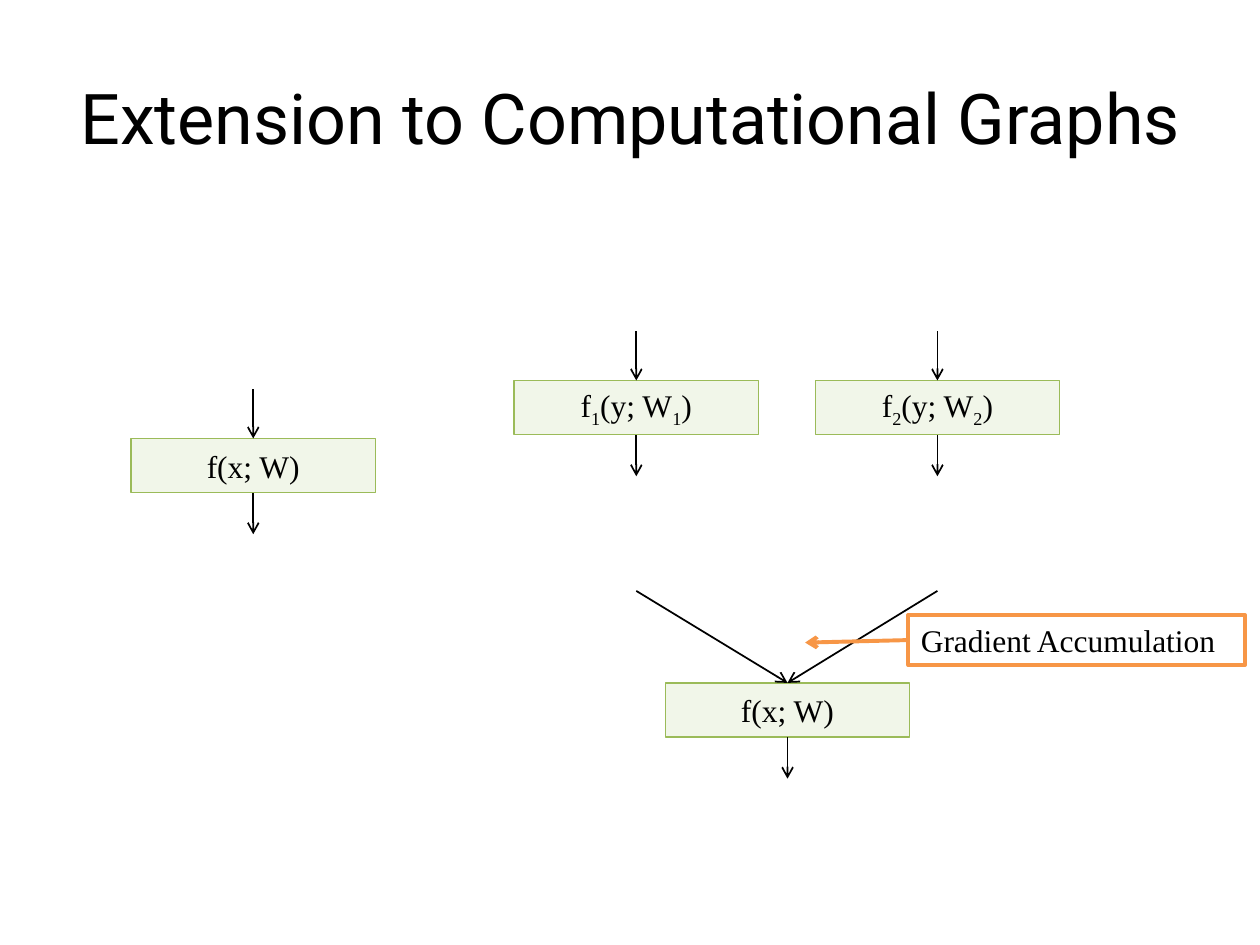
from dataclasses import dataclass

from lxml import etree
from pptx import Presentation
from pptx import util as u
from pptx.dml.color import RGBColor
from pptx.enum import shapes, text
from pptx.oxml.ns import qn

PX = u.Inches(1) // 100  # one px is a hundredth of an inch
TOP, LEFT, BOTTOM = 0, 1, 2  # connection sites of a rectangle
NODE_W, NODE_H = 194, 43
ARROW_IN, ARROW_OUT = 39, 33


@dataclass(frozen=True)
class Theme:
    ink: RGBColor = RGBColor.from_string("000000")
    node_fill: RGBColor = RGBColor.from_string("D7E4BD")
    node_line: RGBColor = RGBColor.from_string("9BBB59")
    accent: RGBColor = RGBColor.from_string("F79646")
    title_font: str = "Roboto"
    body_font: str = "Times New Roman"
    title_size: int = 40
    body_size: int = 18
    node_width: float = 0.75
    arrow_width: float = 1
    accent_width: float = 2.25


THEME = Theme()


def px(*lengths):
    return [u.Emu(length * PX) for length in lengths]


def add_run(paragraph, words, font, size, subscript=False):
    run = paragraph.add_run()
    run.text = words
    run.font.name = font
    run.font.size = u.Pt(size)
    run.font.color.rgb = THEME.ink
    if subscript:
        run.font._element.set("baseline", "-25000")


def add_arrow(slide, tip, tail, color=THEME.ink, width=THEME.arrow_width):
    """Straight arrow whose head is at its beginning."""
    arrow = slide.shapes.add_connector(shapes.MSO_CONNECTOR.STRAIGHT, *px(*tip, *tail))
    arrow.line.color.rgb = color
    arrow.line.width = u.Pt(width)
    etree.SubElement(arrow.line._get_or_add_ln(), qn("a:headEnd"), type="arrow")
    etree.SubElement(arrow._element.spPr, qn("a:effectLst"))
    return arrow


def add_title(slide, box, words):
    title = slide.shapes.title
    title.left, title.top, title.width, title.height = px(*box)
    title.text_frame.vertical_anchor = text.MSO_ANCHOR.MIDDLE
    paragraph = title.text_frame.paragraphs[0]
    paragraph.alignment = text.PP_ALIGN.CENTER
    add_run(paragraph, words, THEME.title_font, THEME.title_size)


def add_node(slide, left, top, label, sources=None):
    """Function box with its incoming and outgoing arrows; label is (words, subscript) pairs."""
    node = slide.shapes.add_shape(
        shapes.MSO_SHAPE.RECTANGLE, *px(left, top, NODE_W, NODE_H))
    node.shadow.inherit = False
    node.fill.solid()
    node.fill.fore_color.rgb = THEME.node_fill
    color = node._element.spPr.find(qn("a:solidFill"))[0]
    etree.SubElement(color, qn("a:alpha"), val="33000")
    node.line.color.rgb = THEME.node_line
    node.line.width = u.Pt(THEME.node_width)
    node.text_frame.vertical_anchor = text.MSO_ANCHOR.MIDDLE
    paragraph = node.text_frame.paragraphs[0]
    paragraph.alignment = text.PP_ALIGN.CENTER
    for words, subscript in label:
        add_run(paragraph, words, THEME.body_font, THEME.body_size, subscript)

    # Outgoing arrow, then one incoming arrow for each source
    center, bottom = left + NODE_W // 2, top + NODE_H
    outgoing = add_arrow(slide, (center, bottom + ARROW_OUT), (center, bottom))
    outgoing.end_connect(node, BOTTOM)
    for source in sources or [(center, top - ARROW_IN)]:
        add_arrow(slide, (center, top), source).begin_connect(node, TOP)


def add_callout(slide, box, words, target):
    callout = slide.shapes.add_textbox(*px(*box))
    callout.line.color.rgb = THEME.accent
    callout.line.width = u.Pt(THEME.accent_width)
    frame = callout.text_frame
    frame.word_wrap = False
    frame.auto_size = text.MSO_AUTO_SIZE.SHAPE_TO_FIT_TEXT
    add_run(frame.paragraphs[0], words, THEME.body_font, THEME.body_size)
    left, top, _, height = box
    pointer = add_arrow(slide, target, (left, top + height // 2),
                        THEME.accent, THEME.accent_width)
    pointer.end_connect(callout, LEFT)


def add_branching_graph(slide, left, top):
    """Two branches whose arrows meet in one shared function."""
    pitch, join_top, source_top = 239, 240, 167
    for index in range(2):
        number = str(index + 1)
        label = [("f", False), (number, True), ("(y; W", False),
                 (number, True), (")", False)]
        add_node(slide, left + index * pitch, top, label)
    sources = [(left + NODE_W // 2 + index * pitch, top + source_top)
               for index in range(2)]
    add_node(slide, left + (pitch + 1) // 2, top + join_top,
             [("f(x; W)", False)], sources)
    add_callout(slide, (left + 313, top + 186, 267, 40),
                "Gradient Accumulation", (left + 231, top + 208))


def main():
    presentation = Presentation()
    presentation.slide_width, presentation.slide_height = px(1000, 750)
    slide = presentation.slides.add_slide(presentation.slide_layouts[5])
    add_title(slide, (50, 30, 900, 125), "Extension to Computational Graphs")
    add_node(slide, 104, 348, [("f(x; W)", False)])
    add_branching_graph(slide, 408, 302)
    presentation.save("out.pptx")


if __name__ == "__main__":
    main()
